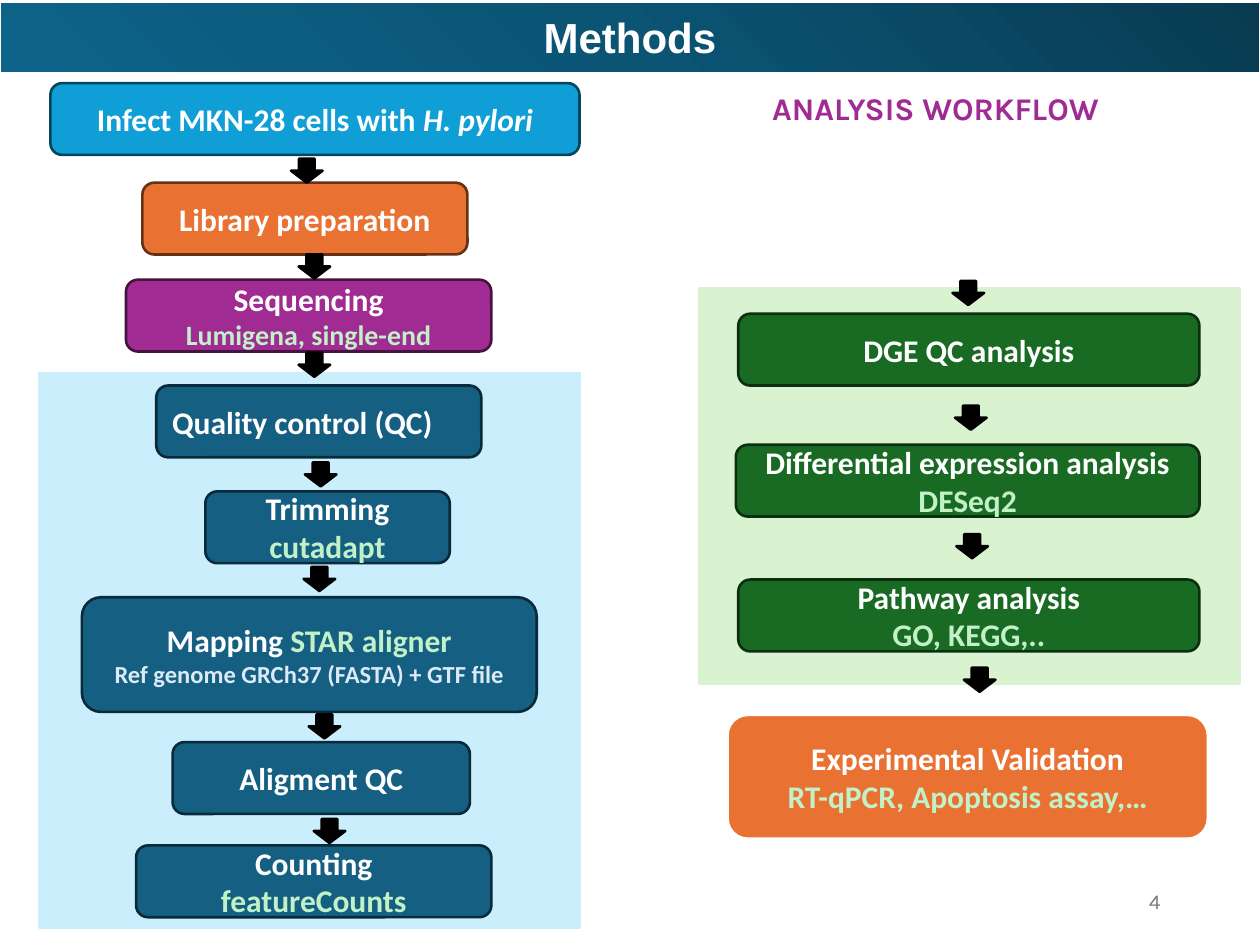
from copy import deepcopy
from dataclasses import dataclass

from pptx import Presentation
from pptx import util as u
from pptx.dml import color
from pptx.enum import shapes, text


@dataclass(frozen=True)
class Theme:
    white: str = "FFFFFF"
    black: str = "000000"
    grey: str = "797979"
    mint: str = "C2F1C8"
    pale: str = "DCEAF7"
    sky: tuple = ("0F9ED5", "07455D")
    rust: tuple = ("E97132", "663216")
    plum: tuple = ("A02B93", "461340")
    teal: tuple = ("156082", "092A39")
    green: tuple = ("196B24", "0B2F10")
    ice: str = "CAEEFB"
    lime: str = "D9F2D0"
    band: tuple = ("083B52", "0B5474", "0D638A")
    head: int = 24
    body: int = 18
    mid: int = 16
    note: int = 14
    tiny: int = 12
    title: str = "Arial"
    main: str = "Calibri"
    side: str = "Karla"


T = Theme()
KIND = shapes.MSO_SHAPE
ALIGN = text.PP_ALIGN


def rgb(tone):
    return color.RGBColor.from_string(tone)


def write(par, words, tone=T.white, size=T.body, face=T.main, bold=True, slant=False):
    run = par.add_run()
    run.text = words
    font = run.font
    font.name, font.size, font.bold, font.italic = face, u.Pt(size), bold, slant
    font.color.rgb = rgb(tone)


class Deck:
    def __init__(self, slide, theme):
        self.slide = slide
        self.theme = theme

    def place(self, item, spot):
        item.left, item.top, item.width, item.height = map(u.Inches, spot)

    def shape(self, kind, spot, fill, line, width=1.5):
        item = self.slide.shapes.add_shape(kind, *map(u.Inches, spot))
        item.shadow.inherit = False
        item.fill.solid()
        item.fill.fore_color.rgb = rgb(fill)
        item.line.color.rgb = rgb(line)
        item.line.width = u.Pt(width)
        return item

    def title(self, words, spot):
        item = self.slide.shapes.title
        self.place(item, spot)
        item.fill.gradient()
        item.fill.gradient_angle = 225
        stops = item.fill._fill._gradFill.gsLst
        stops.insert(1, deepcopy(stops[0]))
        for stop, tone, pos in zip(item.fill.gradient_stops, self.theme.band, (0, 0.5, 1)):
            stop.color.rgb = rgb(tone)
            stop.position = pos
        item.line.color.rgb = rgb(self.theme.white)
        item.line.width = u.Pt(1.5)
        frame = item.text_frame
        frame.auto_size = text.MSO_AUTO_SIZE.NONE
        frame.vertical_anchor = text.MSO_ANCHOR.MIDDLE
        frame.paragraphs[0].alignment = ALIGN.CENTER
        write(frame.paragraphs[0], words, size=self.theme.head, face=self.theme.title)

    def panel(self, spot, tone):
        self.shape(KIND.RECTANGLE, spot, tone, tone)

    def step(self, spot, tones, *rows, align=ALIGN.CENTER, width=1.5):
        frame = self.shape(KIND.ROUNDED_RECTANGLE, spot, *tones, width).text_frame
        frame.word_wrap = True
        frame.vertical_anchor = text.MSO_ANCHOR.MIDDLE
        for num, row in enumerate(rows):
            par = frame.add_paragraph() if num else frame.paragraphs[0]
            par.alignment = align
            for words, fmt in row:
                write(par, words, **fmt)

    def arrow(self, left, top):
        black = self.theme.black
        self.shape(KIND.DOWN_ARROW, (left, top, 0.25, 0.19), black, black)

    def label(self, spot, words, align=ALIGN.LEFT, anchor=text.MSO_ANCHOR.TOP, **fmt):
        frame = self.slide.shapes.add_textbox(*map(u.Inches, spot)).text_frame
        frame.word_wrap = True
        frame.vertical_anchor = anchor
        frame.paragraphs[0].alignment = align
        write(frame.paragraphs[0], words, **fmt)


def plain(words, **fmt):
    return [(words, fmt)]


def tool(words, size=T.body):
    return plain(words, tone=T.mint, size=size)


def main():
    prs = Presentation()
    prs.slide_width, prs.slide_height = u.Inches(10), u.Inches(7.5)
    deck = Deck(prs.slides.add_slide(prs.slide_layouts[5]), T)
    high = 0.57

    deck.title("Methods", (0, 0.01, 10, high))
    deck.panel((0.31, 2.96, 4.29, 4.4), T.ice)
    deck.panel((5.55, 2.29, 4.29, 3.14), T.lime)

    deck.step((0.4, 0.66, 4.2, high), T.sky,
              plain("Infect MKN-28 cells with ") + plain("H. pylori", slant=True))
    deck.step((1.13, 1.45, 2.58, high), T.rust, plain("Library preparation"))
    deck.step((1, 2.22, 2.9, high), T.plum,
              plain("Sequencing"), tool("Lumigena, single-end", T.mid))
    deck.step((1.24, 3.06, 2.58, high), T.teal,
              plain("Quality control (QC)"), align=ALIGN.LEFT)
    deck.step((1.63, 3.9, 1.94, high), T.teal, plain("Trimming"), tool("cutadapt"))
    deck.step((0.65, 4.74, 3.61, 0.91), T.teal,
              plain("Mapping ") + tool("STAR aligner"),
              plain("Ref genome GRCh37 (FASTA) + GTF file", tone=T.pale, size=T.note))
    deck.step((1.37, 5.89, 2.36, high), T.teal, plain("Aligment QC"))
    deck.step((1.08, 6.71, 2.82, high), T.teal, plain("Counting"), tool("featureCounts"))

    deck.step((5.86, 2.49, 3.66, high), T.green, plain("DGE QC analysis"))
    deck.step((5.84, 3.53, 3.68, high), T.green,
              plain("Differential expression analysis"), tool("DESeq2"))
    deck.step((5.86, 4.6, 3.66, high), T.green,
              plain("Pathway analysis"), tool("GO, KEGG,.."))
    deck.step((5.77, 5.67, 3.82, 0.99), (T.rust[0], T.white),
              plain("Experimental Validation"), tool("RT-qPCR, Apoptosis assay,…"), width=2)

    for spot in ((2.31, 1.26), (2.37, 2.02), (2.37, 2.8), (2.42, 3.67),
                 (2.41, 4.5), (2.45, 5.67), (2.49, 6.5),
                 (7.56, 2.23), (7.58, 3.22), (7.59, 4.24), (7.65, 5.3)):
        deck.arrow(*spot)

    deck.label((6.03, 0.66, 5.01, 0.4), "ANALYSIS WORKFLOW", tone=T.plum[0], face=T.side)
    deck.label((7.06, 6.95, 2.25, 0.4), "4", ALIGN.RIGHT, text.MSO_ANCHOR.MIDDLE,
               tone=T.grey, size=T.tiny, face=T.side, bold=False)
    prs.save("out.pptx")


if __name__ == "__main__":
    main()
